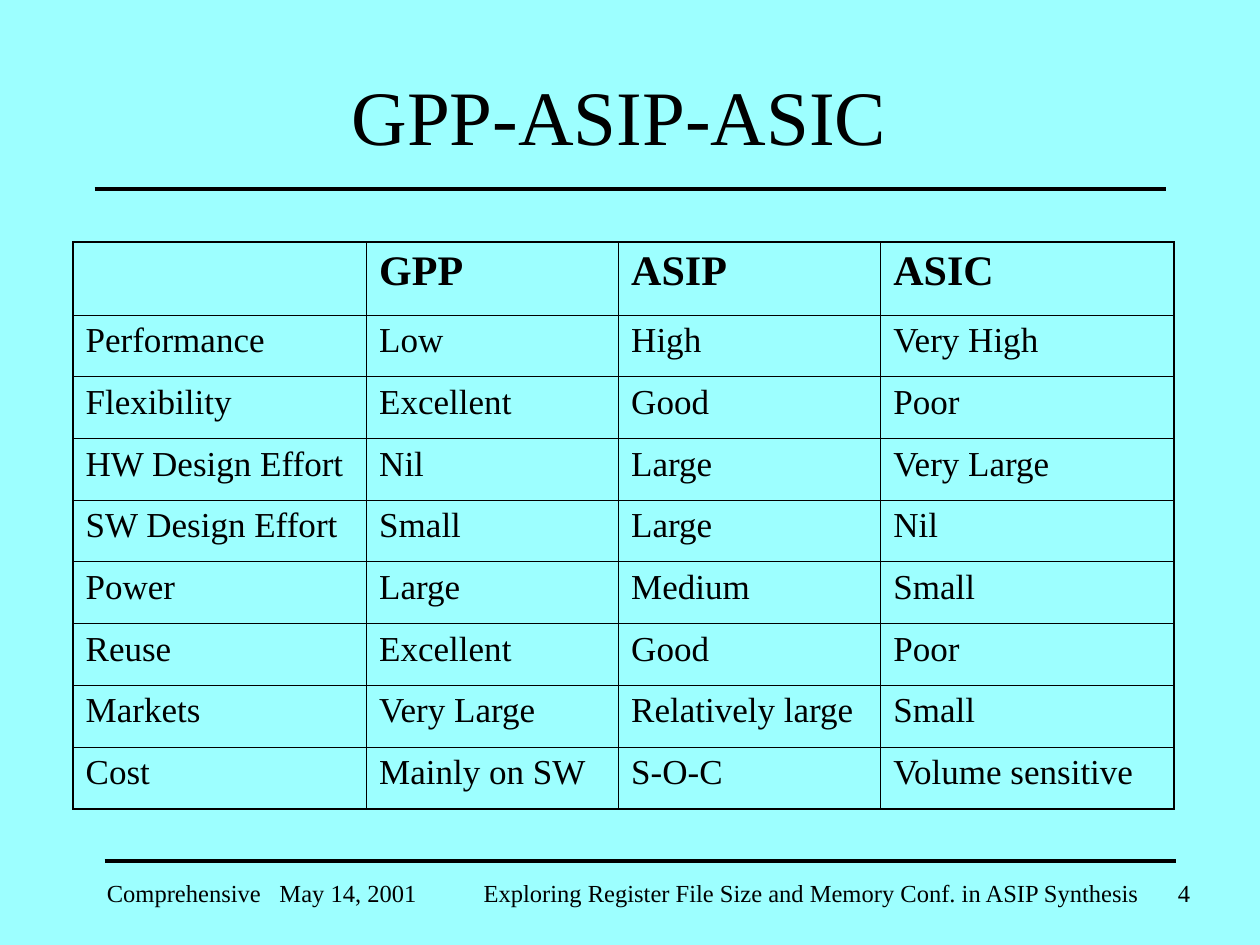
from dataclasses import dataclass

from lxml import etree
from pptx import Presentation
from pptx import util as u
from pptx.dml import color
from pptx.enum import shapes, text
from pptx.oxml import ns


@dataclass(frozen=True)
class Theme:
    font: str = "Times New Roman"
    ink: str = "000000"
    back: str = "9DFFFF"
    title: int = 44
    head: int = 24
    body: int = 20
    foot: int = 14
    rule: float = 2.25
    edge: float = 1.08
    grid: float = 0.45


def write(frame, words, theme, size, bold=False, align="LEFT", before=0, tab=None):
    para = frame.paragraphs[0]
    para.alignment = getattr(text.PP_ALIGN, align)
    para.space_before = u.Pt(before)
    if tab:
        stops = etree.SubElement(para._p.get_or_add_pPr(), ns.qn("a:tabLst"))
        etree.SubElement(stops, ns.qn("a:tab"), pos=str(u.Inches(tab)), algn="l")
    run = para.add_run() if words else None
    for font in [para.font] + ([run.font] if run else []):
        font.name, font.size, font.bold = theme.font, u.Pt(size), bold
        font.color.rgb = color.RGBColor.from_string(theme.ink)
    if run:
        run.text = words


class Page:
    def __init__(self, deck, theme):
        self.theme = theme
        self.slide = deck.slides.add_slide(deck.slide_layouts[6])
        fill = self.slide.background.fill
        fill.solid()
        fill.fore_color.rgb = color.RGBColor.from_string(theme.back)

    def label(self, words, left, top, width, height, size, wrap=True, inset=0.05, **style):
        box = self.slide.shapes.add_textbox(*map(u.Inches, (left, top, width, height)))
        box.text_frame.word_wrap = wrap
        box.text_frame.margin_top = u.Inches(inset)
        write(box.text_frame, words, self.theme, size, **style)

    def rule(self, left, top, width):
        ends = map(u.Inches, (left, top, left + width, top))
        line = self.slide.shapes.add_connector(shapes.MSO_CONNECTOR.STRAIGHT, *ends)
        line.line.color.rgb = color.RGBColor.from_string(self.theme.ink)
        line.line.width = u.Pt(self.theme.rule)
        etree.SubElement(line._element.spPr, ns.qn("a:effectLst"))

    def border(self, cell, outer):
        props = cell._tc.get_or_add_tcPr()
        for side, edge in zip("LRTB", outer):
            width = u.Pt(self.theme.edge if edge else self.theme.grid)
            line = etree.SubElement(props, ns.qn(f"a:ln{side}"), w=str(width))
            fill = etree.SubElement(line, ns.qn("a:solidFill"))
            etree.SubElement(fill, ns.qn("a:srgbClr"), val=self.theme.ink)

    def table(self, rows, left, top, widths, heights):
        size = (left, top, sum(widths), sum(heights))
        table = self.slide.shapes.add_table(
            len(rows), len(widths), *map(u.Inches, size)).table
        table.first_row = table.horz_banding = False
        for col, width in zip(table.columns, widths):
            col.width = u.Inches(width)
        for row, height in zip(table.rows, heights):
            row.height = u.Inches(height)
        for r, row in enumerate(rows):
            for c, words in enumerate(row):
                cell = table.cell(r, c)
                head = r == 0
                write(cell.text_frame, words, self.theme,
                      self.theme.head if head else self.theme.body,
                      bold=head, before=6 if head else 5)
                self.border(cell, (c == 0, c == len(row) - 1, head, r == len(rows) - 1))
                cell.fill.background()


ROWS = [
    ("", "GPP", "ASIP", "ASIC"),
    ("Performance", "Low", "High", "Very High"),
    ("Flexibility", "Excellent", "Good", "Poor"),
    ("HW Design Effort", "Nil", "Large", "Very Large"),
    ("SW Design Effort", "Small", "Large", "Nil"),
    ("Power", "Large", "Medium", "Small"),
    ("Reuse", "Excellent", "Good", "Poor"),
    ("Markets", "Very Large", "Relatively large", "Small"),
    ("Cost", "Mainly on SW", "S-O-C", "Volume sensitive"),
]


def main():
    deck = Presentation()
    deck.slide_width, deck.slide_height = u.Inches(10), u.Inches(7.5)
    theme = Theme()
    page = Page(deck, theme)

    page.rule(0.83, 6.83, 8.5)
    page.rule(0.75, 1.5, 8.5)
    foot = {"top": 6.92, "height": 0.34, "size": theme.foot}
    page.label("Comprehensive\tMay 14, 2001", left=0.75, width=2.67, tab=1.37, **foot)
    page.label("4", left=9.25, width=0.5, **foot)
    page.label("Exploring Register File Size and Memory Conf. in ASIP Synthesis",
               left=3.74, width=5.42, wrap=False, **foot)
    page.label("GPP-ASIP-ASIC", 2.33, 0.42, 5.17, 0.75, theme.title,
               inset=0.12, align="CENTER")
    page.table(ROWS, 0.58, 1.92, [2.33, 2, 2.08, 2.33],
               [0.58] + [0.49] * (len(ROWS) - 1))
    deck.save("out.pptx")


if __name__ == "__main__":
    main()
